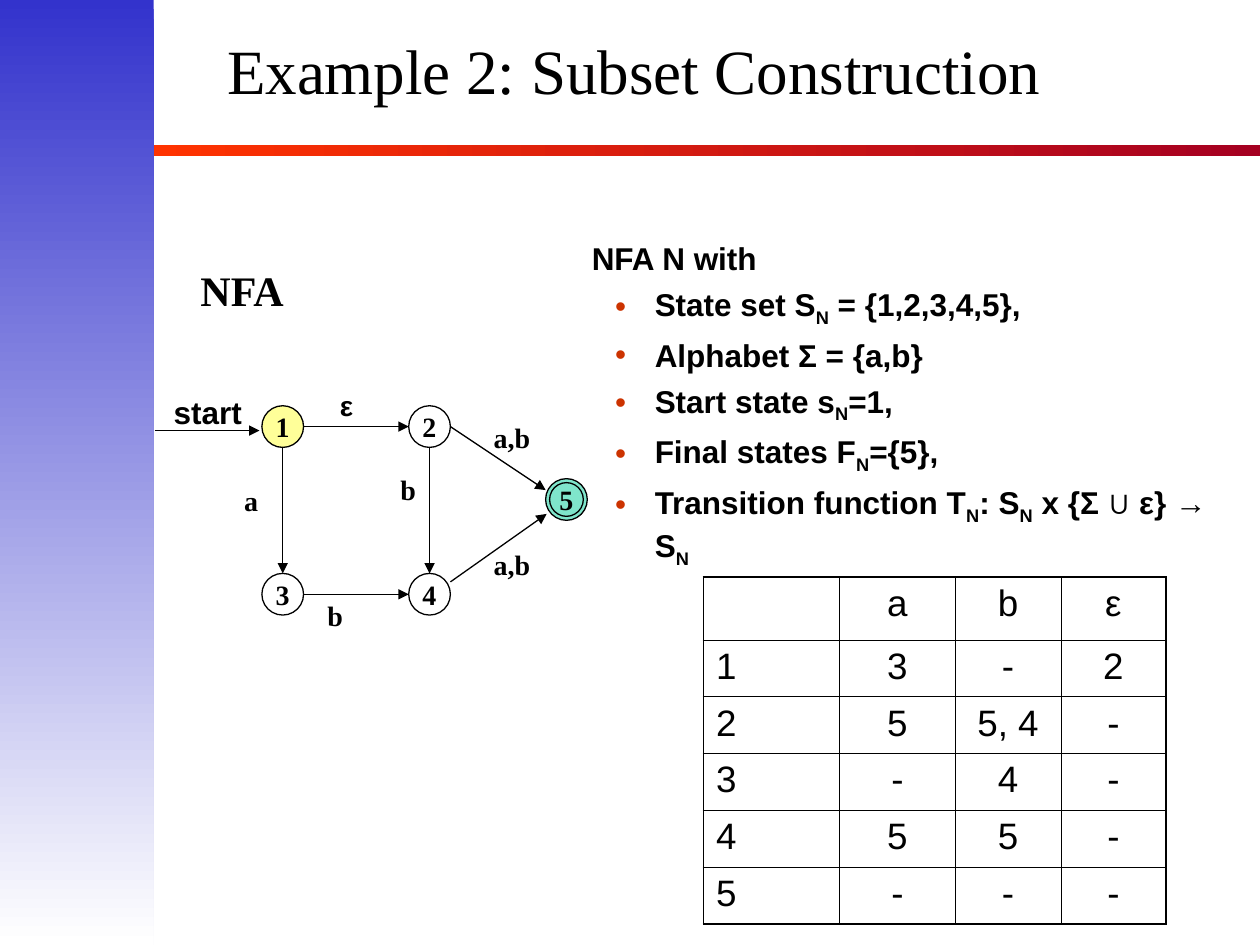
from pptx import Presentation
from pptx.dml.color import RGBColor
from pptx.enum.shapes import MSO_CONNECTOR, MSO_SHAPE
from pptx.enum.text import MSO_ANCHOR, PP_ALIGN
from pptx.oxml.ns import qn
from pptx.util import Cm, Pt
from lxml.etree import SubElement

BLACK = "000000"
SERIF = {"name": "Times New Roman", "size": Pt(16), "bold": True}
SANS = {"name": "Arial", "size": Pt(18), "bold": True}
TITLE = {"name": "Times New Roman", "size": Pt(36), "bold": False}
CELL = {"name": "Arial", "size": Pt(21), "bold": False}
RAD = 0.42
LEFT, MID, TOP, LOW = 5.7, 8.66, 8.6, 11.98
GOAL = (11.42, 10.07)

STATES = [
    ("1", LEFT, TOP, "FFFF99"),
    ("2", MID, TOP, "FFFFFF"),
    ("3", LEFT, LOW, "FFFFFF"),
    ("4", MID, LOW, "FFFFFF"),
]
EDGES = [
    (3.12, 8.68, 5.23, 8.68),
    (LEFT + RAD, TOP, MID - RAD, TOP),
    (LEFT + RAD, LOW, MID - RAD, LOW),
    (LEFT, TOP + RAD, LEFT, LOW - RAD),
    (MID, TOP + RAD, MID, LOW - RAD),
    (MID + RAD, TOP, 11, 9.88),
    (MID + RAD, 11.73, 11.02, 10.36),
]
LABELS = [
    ("ε", 6.6, 7.7, 0.74, SANS | {"size": Pt(16)}),
    ("b", 6.35, 11.94, 0.81, SERIF),
    ("a", 4.67, 9.63, 0.79, SERIF),
    ("b", 7.82, 9.4, 0.81, SERIF),
    ("a,b", 9.7, 8.36, 1.24, SERIF),
    ("a,b", 9.7, 10.92, 1.24, SERIF),
    ("start", 3.25, 7.8, 1.88, SANS),
    ("NFA", 3.76, 5.21, 2.24, SERIF | {"size": Pt(24)}),
]
FACTS = [
    "State set S_N = {1,2,3,4,5},",
    "Alphabet Σ = {a,b}",
    "Start state s_N=1,",
    "Final states F_N={5},",
    "Transition function T_N: S_N x {Σ ∪ ε} → S_N",
]
MOVES = [
    ["", "a", "b", "ε"],
    ["1", "3", "-", "2"],
    ["2", "5", "5, 4", "-"],
    ["3", "-", "4", "-"],
    ["4", "5", "5", "-"],
    ["5", "-", "-", "-"],
]


def tint(code):
    """Turn a hex string into a colour."""
    return RGBColor.from_string(code)


def write(para, text, style, align=PP_ALIGN.LEFT):
    """Write text into a paragraph, setting each _N as a subscript."""
    para.alignment = align
    for pos, part in enumerate(text.split("_N")):
        for word, low in (("N" if pos else "", True), (part, False)):
            if not word:
                continue
            run = para.add_run()
            run.text = word
            for key, value in style.items():
                setattr(run.font, key, value)
            run.font.color.rgb = tint(BLACK)
            if low:
                run.font._element.set("baseline", "-25000")


def add_text(slide, text, box, style, align=PP_ALIGN.CENTER, wrap=False):
    """Add a text box and return its frame."""
    frame = slide.shapes.add_textbox(*map(Cm, box)).text_frame
    frame.word_wrap = wrap
    write(frame.paragraphs[0], text, style, align)
    return frame


def add_band(slide, box, first, last, angle):
    """Add a rectangle with a two-colour gradient."""
    band = slide.shapes.add_shape(MSO_SHAPE.RECTANGLE, *map(Cm, box))
    band.shadow.inherit = False
    band.line.fill.background()
    band.fill.gradient()
    band.fill.gradient_angle = angle
    for stop, code in zip(band.fill.gradient_stops, (first, last)):
        stop.color.rgb = tint(code)


def add_ring(slide, x, y, rad, code=None, text="", alpha=None):
    """Add a circle around a centre, with an optional fill and label."""
    box = map(Cm, (x - rad, y - rad, 2 * rad, 2 * rad))
    ring = slide.shapes.add_shape(MSO_SHAPE.OVAL, *box)
    ring.shadow.inherit = False
    ring.line.color.rgb = tint(BLACK)
    ring.line.width = Pt(0.75)
    if code:
        ring.fill.solid()
        ring.fill.fore_color.rgb = tint(code)
    else:
        ring.fill.background()
    if alpha:
        hue = ring._element.spPr.find(qn("a:solidFill"))[0]
        SubElement(hue, qn("a:alpha"), val=str(alpha * 1000))
    if text:
        frame = ring.text_frame
        frame.word_wrap = False
        frame.vertical_anchor = MSO_ANCHOR.MIDDLE
        write(frame.paragraphs[0], text, SERIF, PP_ALIGN.CENTER)


def add_edge(slide, ends):
    """Add an arrow between two points."""
    edge = slide.shapes.add_connector(MSO_CONNECTOR.STRAIGHT, *map(Cm, ends))
    edge.line.color.rgb = tint(BLACK)
    edge.line.width = Pt(0.75)
    SubElement(edge.line._get_or_add_ln(), qn("a:tailEnd"), type="triangle")
    SubElement(edge._element.spPr, qn("a:effectLst"))


def add_facts(slide):
    """Add the heading and the bulleted definition of the automaton."""
    frame = add_text(slide, "NFA N with", (11.5, 4.7, 13.9, 6.9), SANS,
                     PP_ALIGN.LEFT, True)
    frame.paragraphs[0]._p.get_or_add_pPr().set("marL", str(Cm(0.18)))
    for fact in FACTS:
        para = frame.add_paragraph()
        props = para._p.get_or_add_pPr()
        props.set("marL", str(Cm(1.45)))
        props.set("indent", str(Cm(-0.8)))
        hue = SubElement(props, qn("a:buClr"))
        SubElement(hue, qn("a:srgbClr"), val="CC3300")
        SubElement(props, qn("a:buFont"), typeface="Arial")
        SubElement(props, qn("a:buChar"), char="•")
        para.space_before = Pt(4.5)
        write(para, fact, SANS)


def add_border(cell, sides):
    """Draw the four borders of a cell, heavier where a side is outer."""
    props = cell._tc.get_or_add_tcPr()
    for side, outer in sides.items():
        width = Pt(1.08 if outer else 0.45)
        line = SubElement(props, qn("a:ln" + side), w=str(width))
        fill = SubElement(line, qn("a:solidFill"))
        SubElement(fill, qn("a:srgbClr"), val=BLACK)


def add_moves(slide):
    """Add the transition table."""
    rows, cols = len(MOVES), len(MOVES[0])
    box = map(Cm, (14.18, 11.63, 9.32, 6.97))
    table = slide.shapes.add_table(rows, cols, *box).table
    table.first_row = table.horz_banding = False
    for col, width in zip(table.columns, (2.75, 2.32, 2.14, 2.11)):
        col.width = Cm(width)
    for r, words in enumerate(MOVES):
        table.rows[r].height = Cm(1.14 if r else 1.27)
        for c, word in enumerate(words):
            cell = table.cell(r, c)
            add_border(cell, {"L": c == 0, "R": c == cols - 1,
                              "T": r == 0, "B": r == rows - 1})
            cell.fill.background()
            align = PP_ALIGN.CENTER if c else PP_ALIGN.LEFT
            write(cell.text_frame.paragraphs[0], word, CELL, align)


def main():
    """Build the slide and save it."""
    deck = Presentation()
    deck.slide_width, deck.slide_height = Cm(25.4), Cm(19.05)
    slide = deck.slides.add_slide(deck.slide_layouts[6])
    add_band(slide, (3.05, 2.92, 22.35, 0.23), "FF3300", "A50021", 0)
    add_band(slide, (0, 0, 3.1, 19.05), "3333CC", "FFFFFF", 270)
    title = add_text(slide, "Example 2: Subset Construction",
                     (0.84, 0.64, 23.88, 1.78), TITLE, wrap=True)
    title.vertical_anchor = MSO_ANCHOR.MIDDLE
    title.paragraphs[0].line_spacing = 0.8
    for name, x, y, code in STATES:
        add_ring(slide, x, y, RAD, code, name)
    add_ring(slide, *GOAL, RAD, "00CC99", "5", 50)
    add_ring(slide, *GOAL, 0.34)
    for ends in EDGES:
        add_edge(slide, ends)
    for text, x, y, width, style in LABELS:
        add_text(slide, text, (x, y, width, 0.94), style)
    add_facts(slide)
    add_moves(slide)
    deck.save("out.pptx")


if __name__ == "__main__":
    main()
